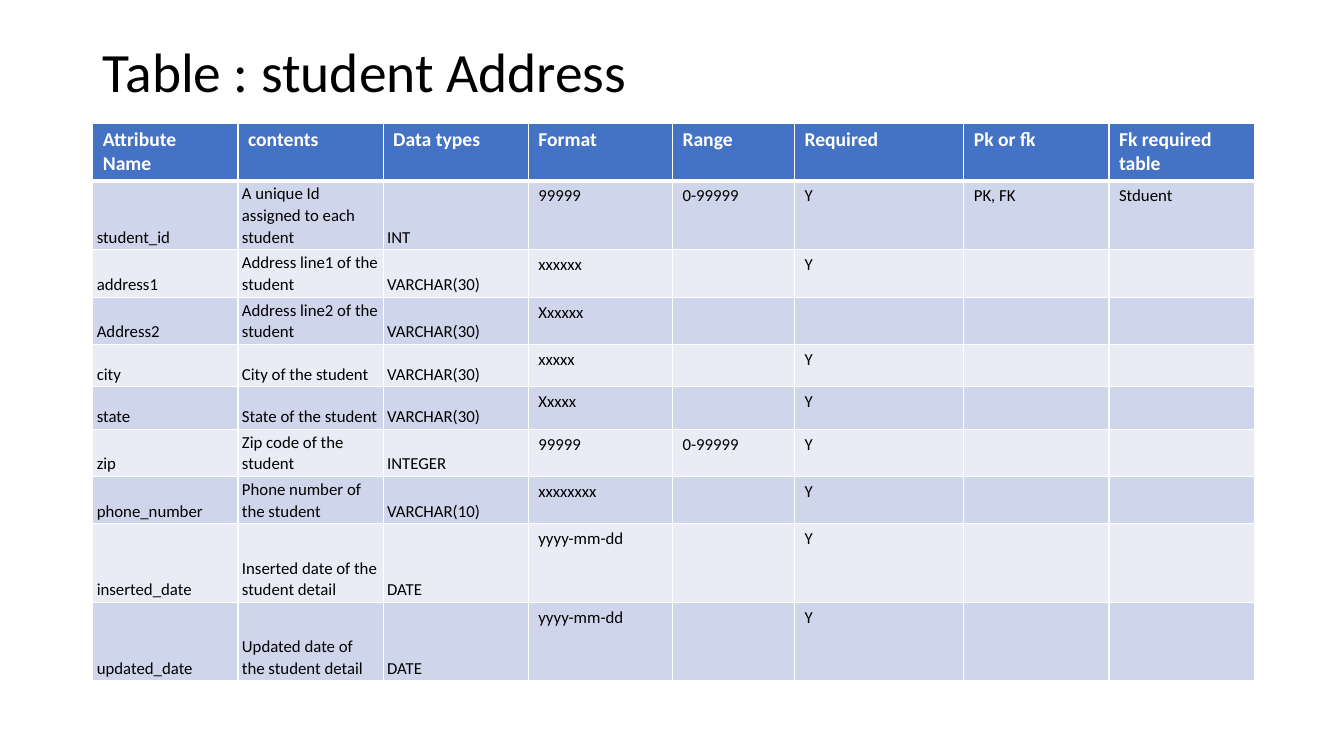
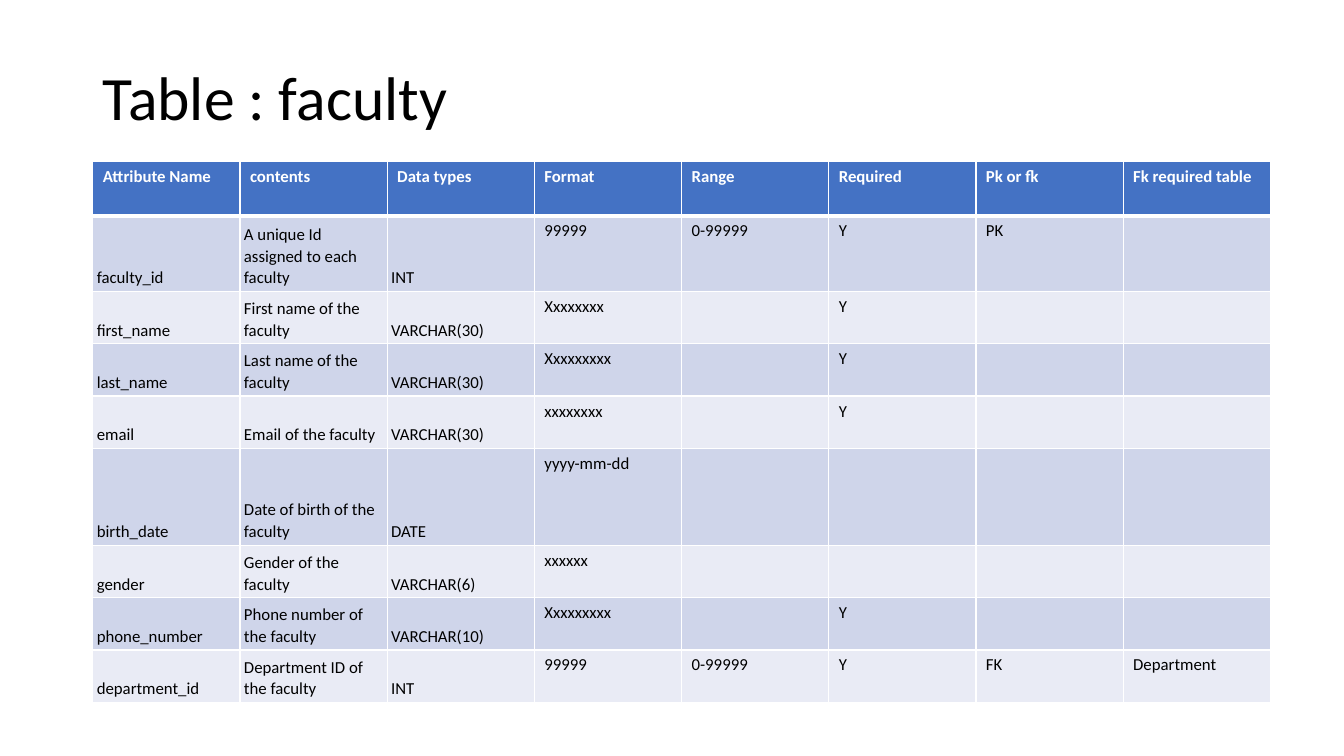
from lxml.etree import SubElement
from pptx import Presentation
from pptx.dml.color import RGBColor
from pptx.enum.text import MSO_ANCHOR, MSO_AUTO_SIZE, PP_ALIGN
from pptx.oxml.ns import qn
from pptx.util import Inches, Pt

# Shared look
FONT = "Calibri"
BLACK = RGBColor(0x00, 0x00, 0x00)
WHITE = RGBColor(0xFF, 0xFF, 0xFF)
HEADER_BLUE = RGBColor(0x44, 0x72, 0xC4)
BANDS = (RGBColor(0xCF, 0xD5, 0xEA), RGBColor(0xE9, 0xEB, 0xF5))
LEFT = 0.92
TITLE_TOP, TITLE_WIDTH = 0.4, 11.5
BODY_SIZE = 12
DESCRIPTIVE_COLUMNS = 3
THIN, THICK = 1, 3

HEADERS = ["Attribute Name", "contents", "Data types", "Format", "Range",
           "Required", "Pk or fk", "Fk required table"]

# Each row lists its cells from the left; cells left out stay empty
ADDRESS = {
    "title": "Table : student Address",
    "title_size": 39.6, "title_height": 0.67,
    "top": 1.22, "header_size": 14, "inset": 0.02,
    "widths": [1.44, 1.44, 1.44, 1.43, 1.21, 1.68, 1.44, 1.44],
    "heights": [0.44, 0.61] + [0.42] * 6 + [0.78] * 2,
    "rows": [
        ["student_id", "A unique Id assigned to each student", "INT",
         "99999", "0-99999", "Y", "PK, FK", "Stduent"],
        ["address1", "Address line1 of the student", "VARCHAR(30)", "xxxxxx", "", "Y"],
        ["Address2", "Address line2 of the student", "VARCHAR(30)", "Xxxxxx"],
        ["city", "City of the student", "VARCHAR(30)", "xxxxx", "", "Y"],
        ["state", "State of the student", "VARCHAR(30)", "Xxxxx", "", "Y"],
        ["zip", "Zip code of the student", "INTEGER", "99999", "0-99999", "Y"],
        ["phone_number", "Phone number of the student", "VARCHAR(10)",
         "xxxxxxxx", "", "Y"],
        ["inserted_date", "Inserted date of the student detail", "DATE",
         "yyyy-mm-dd", "", "Y"],
        ["updated_date", "Updated date of the student detail", "DATE",
         "yyyy-mm-dd", "", "Y"],
    ],
}

FACULTY = {
    "title": "Table : faculty",
    "title_size": 44, "title_height": 1.2,
    "top": 1.6, "header_size": 12, "inset": 0.03,
    "widths": [1.46] * 8,
    "heights": [0.54, 0.75] + [0.52] * 3 + [0.96] + [0.52] * 3,
    "rows": [
        ["faculty_id", "A unique Id assigned to each faculty", "INT",
         "99999", "0-99999", "Y", "PK"],
        ["first_name", "First name of the faculty", "VARCHAR(30)", "Xxxxxxxx", "", "Y"],
        ["last_name", "Last name of the faculty", "VARCHAR(30)", "Xxxxxxxxx", "", "Y"],
        ["email", "Email of the faculty", "VARCHAR(30)", "xxxxxxxx", "", "Y"],
        ["birth_date", "Date of birth of the faculty", "DATE", "yyyy-mm-dd"],
        ["gender", "Gender of the faculty", "VARCHAR(6)", "xxxxxx"],
        ["phone_number", "Phone number of the faculty", "VARCHAR(10)",
         "Xxxxxxxxx", "", "Y"],
        ["department_id", "Department ID of the faculty", "INT",
         "99999", "0-99999", "Y", "FK", "Department"],
    ],
}


def apply(target, values):
    for name, value in values.items():
        setattr(target, name, value)


def write_text(para, text, size, color, bold=False):
    span = para.add_run()
    span.text = text
    apply(span.font, {"name": FONT, "size": Pt(size), "bold": bold})
    span.font.color.rgb = color


def add_title(page, text, size, height):
    box = page.shapes.title
    apply(box, {"left": Inches(LEFT), "top": Inches(TITLE_TOP),
                "width": Inches(TITLE_WIDTH), "height": Inches(height)})
    apply(box.text_frame, {"word_wrap": True, "auto_size": MSO_AUTO_SIZE.NONE,
                           "vertical_anchor": MSO_ANCHOR.MIDDLE})
    para = box.text_frame.paragraphs[0]
    apply(para, {"alignment": PP_ALIGN.LEFT, "line_spacing": 0.9})
    write_text(para, text, size, BLACK)


def set_borders(cell, top, bottom):
    """Draw white lines on all four sides, ahead of the fill in the XML."""
    properties = cell._tc.get_or_add_tcPr()
    sides = {"lnL": THIN, "lnR": THIN, "lnT": top, "lnB": bottom}
    for position, (side, width) in enumerate(sides.items()):
        line = SubElement(properties, qn(f"a:{side}"), w=str(Pt(width)))
        fill = SubElement(line, qn("a:solidFill"))
        SubElement(fill, qn("a:srgbClr"), val=str(WHITE))
        properties.insert(position, line)


def fill_cell(cell, color):
    cell.fill.solid()
    cell.fill.fore_color.rgb = color


def format_descriptive(cell, inset):
    """Set text low and tight, as in the first three columns."""
    apply(cell, {"vertical_anchor": MSO_ANCHOR.BOTTOM,
                 "margin_left": Inches(0.04), "margin_right": Inches(0.04),
                 "margin_top": Inches(inset), "margin_bottom": Inches(inset)})
    apply(cell.text_frame.paragraphs[0], {"line_spacing": 1.06, "space_after": Pt(8)})


def add_attribute_table(page, content):
    widths, heights = content["widths"], content["heights"]
    table = page.shapes.add_table(
        len(heights), len(widths), Inches(LEFT), Inches(content["top"]),
        Inches(sum(widths)), Inches(sum(heights))).table
    for column, width in zip(table.columns, widths):
        column.width = Inches(width)
    for row, height in zip(table.rows, heights):
        row.height = Inches(height)

    # Header row
    for index, text in enumerate(HEADERS):
        cell = table.cell(0, index)
        fill_cell(cell, HEADER_BLUE)
        set_borders(cell, THIN, THICK)
        write_text(cell.text_frame.paragraphs[0], text, content["header_size"], WHITE, True)

    # Banded attribute rows
    for number, texts in enumerate(content["rows"], start=1):
        for index in range(len(HEADERS)):
            cell = table.cell(number, index)
            fill_cell(cell, BANDS[(number - 1) % 2])
            set_borders(cell, THICK if number == 1 else THIN, THIN)
            if index < DESCRIPTIVE_COLUMNS:
                format_descriptive(cell, content["inset"])
            if index < len(texts) and texts[index]:
                write_text(cell.text_frame.paragraphs[0], texts[index], BODY_SIZE, BLACK)


def main():
    deck = Presentation()
    apply(deck, {"slide_width": Inches(13.33), "slide_height": Inches(7.5)})
    title_only = deck.slide_layouts[5]
    for content in (ADDRESS, FACULTY):
        page = deck.slides.add_slide(title_only)
        add_title(page, content["title"], content["title_size"], content["title_height"])
        add_attribute_table(page, content)
    deck.save("out.pptx")


if __name__ == "__main__":
    main()
